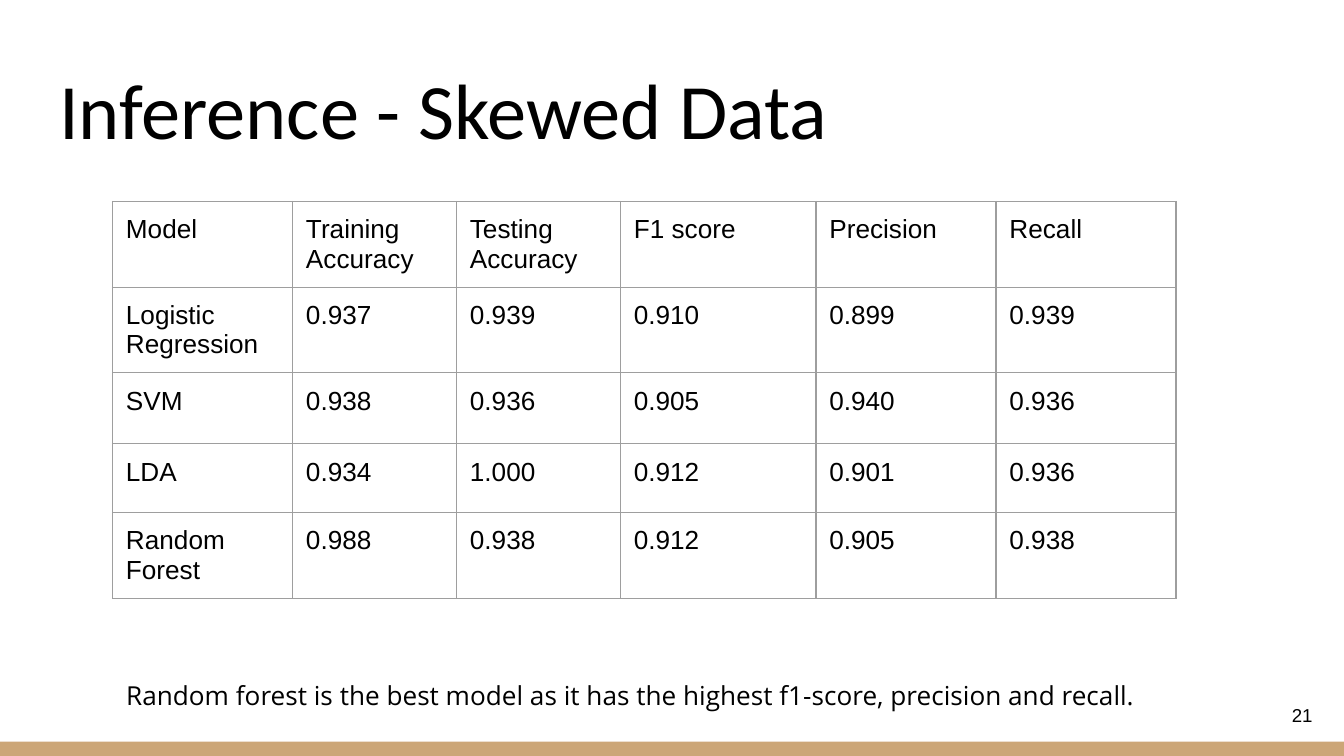
from dataclasses import dataclass

from lxml import etree
from pptx import Presentation
from pptx.dml.color import RGBColor
from pptx.enum.shapes import MSO_SHAPE
from pptx.enum.text import MSO_ANCHOR, MSO_AUTO_SIZE, PP_ALIGN
from pptx.oxml.ns import qn
from pptx.util import Emu, Inches, Pt

RECTANGLE = MSO_SHAPE.RECTANGLE
TOP, MIDDLE, BOTTOM = MSO_ANCHOR.TOP, MSO_ANCHOR.MIDDLE, MSO_ANCHOR.BOTTOM
LEFT, RIGHT = PP_ALIGN.LEFT, PP_ALIGN.RIGHT
NO_AUTOFIT = MSO_AUTO_SIZE.NONE

WIDTH = Inches(10)
HEIGHT = Emu(WIDTH * 9 // 16)
INSET = Inches(0.1)
BLACK, GRID_GREY, TAN = "000000", "9E9E9E", "CCA677"


def across(percent: float) -> Emu:
    return Emu(round(percent * WIDTH / 100))


def down(percent: float) -> Emu:
    return Emu(round(percent * HEIGHT / 100))


@dataclass(frozen=True)
class Area:
    left: float
    top: float
    width: float
    height: float

    def lengths(self) -> tuple[Emu, Emu, Emu, Emu]:
        return across(self.left), down(self.top), across(self.width), down(self.height)


@dataclass(frozen=True)
class Style:
    font: str
    size: float
    align: PP_ALIGN = LEFT
    anchor: MSO_ANCHOR = TOP


@dataclass(frozen=True)
class ModelScore:
    model: str
    scores: tuple[str, ...]


TITLE_STYLE = Style("Calibri", 42, anchor=BOTTOM)
NUMBER_STYLE = Style("Arial", 10, RIGHT, MIDDLE)
CELL_STYLE = Style("Arial", 14)
CONCLUSION_STYLE = Style("Open Sans", 14)

COLUMN_PERCENTS = (13.4, 12.2, 12.2, 14.55, 13.4, 13.4)
ROW_PERCENTS = (9.4, 9.1, 9.4, 9.1, 9.1)
TABLE_AREA = Area(8.37, 26.65, sum(COLUMN_PERCENTS), sum(ROW_PERCENTS))

RESULTS = (
    ModelScore("Model", ("Training Accuracy", "Testing Accuracy", "F1 score", "Precision", "Recall")),
    ModelScore("Logistic Regression", ("0.937", "0.939", "0.910", "0.899", "0.939")),
    ModelScore("SVM", ("0.938", "0.936", "0.905", "0.940", "0.936")),
    ModelScore("LDA", ("0.934", "1.000", "0.912", "0.901", "0.936")),
    ModelScore("Random Forest", ("0.988", "0.938", "0.912", "0.905", "0.938")),
)


def colour(value: str) -> RGBColor:
    return RGBColor.from_string(value)


def write(frame, wording: str, style: Style) -> None:
    paragraph = frame.paragraphs[0]
    paragraph.alignment = style.align
    run = paragraph.add_run()
    run.text = wording
    run.font.name = style.font
    run.font.size = Pt(style.size)
    run.font.bold = False
    run.font.color.rgb = colour(BLACK)


def set_insets(holder) -> None:
    holder.margin_left = holder.margin_right = INSET
    holder.margin_top = holder.margin_bottom = INSET


def fill_text(shape, wording: str, style: Style) -> None:
    frame = shape.text_frame
    frame.word_wrap = True
    frame.auto_size = NO_AUTOFIT
    frame.vertical_anchor = style.anchor
    set_insets(frame)
    write(frame, wording, style)


def add_text(slide, area: Area, wording: str, style: Style) -> None:
    fill_text(slide.shapes.add_textbox(*area.lengths()), wording, style)


def add_title(slide, area: Area, wording: str) -> None:
    title = slide.shapes.title
    title.left, title.top, title.width, title.height = area.lengths()
    fill_text(title, wording, TITLE_STYLE)


def add_bar(slide, area: Area) -> None:
    bar = slide.shapes.add_shape(RECTANGLE, *area.lengths())
    bar.shadow.inherit = False
    bar.fill.solid()
    bar.fill.fore_color.rgb = colour(TAN)
    bar.line.fill.background()


def add_borders(cell) -> None:
    properties = cell._tc.get_or_add_tcPr()
    for position, side in enumerate(("a:lnL", "a:lnR", "a:lnT", "a:lnB")):
        border = etree.Element(qn(side), w=str(Pt(0.75)))
        solid = etree.SubElement(border, qn("a:solidFill"))
        etree.SubElement(solid, qn("a:srgbClr"), val=GRID_GREY)
        properties.insert(position, border)


def add_results(slide) -> None:
    table = slide.shapes.add_table(
        len(ROW_PERCENTS), len(COLUMN_PERCENTS), *TABLE_AREA.lengths()).table
    table.first_row = table.horz_banding = False
    for column, percent in zip(table.columns, COLUMN_PERCENTS):
        column.width = across(percent)
    for row, percent, result in zip(table.rows, ROW_PERCENTS, RESULTS):
        row.height = down(percent)
        for cell, wording in zip(row.cells, (result.model, *result.scores)):
            set_insets(cell)
            cell.vertical_anchor = CELL_STYLE.anchor
            cell.fill.background()
            add_borders(cell)
            write(cell.text_frame, wording, CELL_STYLE)


def main() -> None:
    deck = Presentation()
    deck.slide_width, deck.slide_height = WIDTH, HEIGHT
    slide = deck.slides.add_slide(deck.slide_layouts[5])
    add_bar(slide, Area(0, 98.1, 100, 1.9))
    add_title(slide, Area(3.4, 6.1, 93.2, 16.2), "Inference - Skewed Data")
    add_text(slide, Area(92.65, 90.7, 6, 7.65), "21", NUMBER_STYLE)
    add_results(slide)
    add_text(slide, Area(8.4, 88.1, 80.3, 7.8),
             "Random forest is the best model as it has the highest f1-score, precision and recall.",
             CONCLUSION_STYLE)
    deck.save("out.pptx")


if __name__ == "__main__":
    main()
